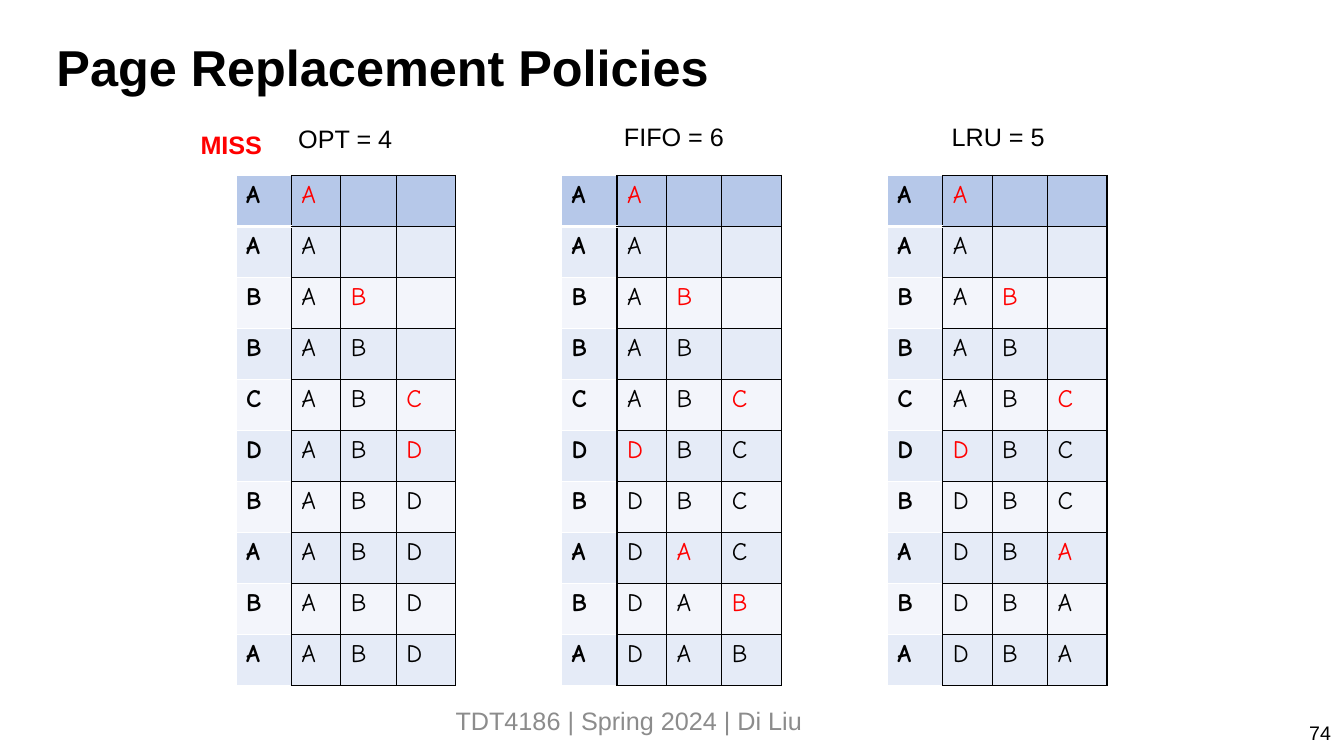
from lxml.etree import SubElement
from pptx import Presentation
from pptx.dml.color import RGBColor
from pptx.enum.text import MSO_ANCHOR, MSO_AUTO_SIZE, PP_ALIGN
from pptx.oxml.ns import qn
from pptx.util import Inches, Pt

BLACK = RGBColor(0x00, 0x00, 0x00)
WHITE = RGBColor(0xFF, 0xFF, 0xFF)
RED = RGBColor(0xFF, 0x00, 0x00)
GREY = RGBColor(0x8C, 0x8C, 0x8C)
HEAD = RGBColor(0xB6, 0xC8, 0xE9)
BANDS = RGBColor(0xF3, 0xF5, 0xFB), RGBColor(0xE5, 0xEB, 0xF7)

TITLE = "Page Replacement Policies"
PAGES = "AABBCDBABA"
FRAMES = {
    "OPT": ["A", "A", "AB", "AB", "ABC", "ABD", "ABD", "ABD", "ABD", "ABD"],
    "FIFO": ["A", "A", "AB", "AB", "ABC", "DBC", "DBC", "DAC", "DAB", "DAB"],
    "LRU": ["A", "A", "AB", "AB", "ABC", "DBC", "DBC", "DBA", "DBA", "DBA"],
}
PLAIN = {"size": Pt(18), "name": "Arial", "color": BLACK, "bold": False}
LABELS = [
    ("OPT = 4", (2.86, 1.17, 1.14), {}),
    ("MISS", (1.89, 1.23, 0.82), {"color": RED, "bold": True}),
    ("FIFO = 6", (6.09, 1.15, 1.2), {}),
    ("LRU = 5", (9.34, 1.15, 1.13), {}),
]
FOOTER = ("TDT4186 | Spring 2024 | Di Liu", (4.42, 6.95, 4.5), {"color": GREY})
NUMBER = ("74", (12.68, 7.1, 0.62), {"size": Pt(14)})

WIDTHS = [0.55, 0.49, 0.55, 0.59]
LEFT, TOP, STEP, ROW = 2.34, 1.74, 3.23, 0.51
HIGH = 5.06


def style(font, **extra):
    for key, value in {**PLAIN, **extra}.items():
        if key == "color":
            font.color.rgb = value
        else:
            setattr(font, key, value)


def label(slide, text, place, extra, wrap=False, align=PP_ALIGN.LEFT):
    x, y, w = place
    box = slide.shapes.add_textbox(Inches(x), Inches(y), Inches(w), Inches(0.4))
    frame = box.text_frame
    frame.word_wrap = wrap
    frame.auto_size = MSO_AUTO_SIZE.NONE if wrap else MSO_AUTO_SIZE.SHAPE_TO_FIT_TEXT
    para = frame.paragraphs[0]
    para.alignment = align
    run = para.add_run()
    run.text = text
    style(run.font, **extra)


def border(cell, edges):
    props = cell._tc.get_or_add_tcPr()
    for side, (color, width) in edges.items():
        line = SubElement(props, qn("a:ln" + side), w=str(Pt(width)))
        fill = SubElement(line, qn("a:solidFill"))
        SubElement(fill, qn("a:srgbClr"), val=str(color))


def draw(slide, left, frames):
    count = len(PAGES)
    shape = slide.shapes.add_table(count, len(WIDTHS), Inches(left), Inches(TOP),
                                   Inches(sum(WIDTHS)), Inches(HIGH))
    table = shape.table
    table.first_row = table.horz_banding = False
    for col, width in zip(table.columns, WIDTHS):
        col.width = Inches(width)
    for row in table.rows:
        row.height = int(Inches(HIGH) / count)
    last = ""
    for r, (page, held) in enumerate(zip(PAGES, frames)):
        for c, text in enumerate((page + held).ljust(len(WIDTHS))):
            cell = table.cell(r, c)
            if c == 0:
                border(cell, {"L": (WHITE, 1), "R": (BLACK, 1),
                              "T": (WHITE, 3 if r == 1 else 1),
                              "B": (WHITE, 3 if r == 0 else 1)})
            else:
                border(cell, dict.fromkeys("LRTB", (BLACK, 1)))
            cell.fill.solid()
            cell.fill.fore_color.rgb = BANDS[r % 2] if r else HEAD
            if text.strip():
                run = cell.text_frame.paragraphs[0].add_run()
                run.text = text
                miss = c > 0 and text != last[c - 1:c]
                style(run.font, name="Comic Neue", bold=c == 0,
                      color=RED if miss else BLACK)
        last = held


def main():
    deck = Presentation()
    deck.slide_width, deck.slide_height = Inches(13.33), Inches(7.5)
    slide = deck.slides.add_slide(deck.slide_layouts[5])

    title = slide.shapes.title
    title.left, title.top = Inches(0.46), Inches(0.3)
    title.width, title.height = Inches(12.4), Inches(0.71)
    title.text_frame.text = TITLE
    title.text_frame.auto_size = MSO_AUTO_SIZE.SHAPE_TO_FIT_TEXT
    title.text_frame.vertical_anchor = MSO_ANCHOR.MIDDLE
    para = title.text_frame.paragraphs[0]
    para.alignment = PP_ALIGN.LEFT
    style(para.runs[0].font, size=Pt(36), bold=True)

    for i, frames in enumerate(FRAMES.values()):
        draw(slide, LEFT + i * STEP, frames)
    for item in LABELS:
        label(slide, *item)
    label(slide, *FOOTER, wrap=True)
    label(slide, *NUMBER, wrap=True, align=PP_ALIGN.RIGHT)
    deck.save("out.pptx")


if __name__ == "__main__":
    main()
